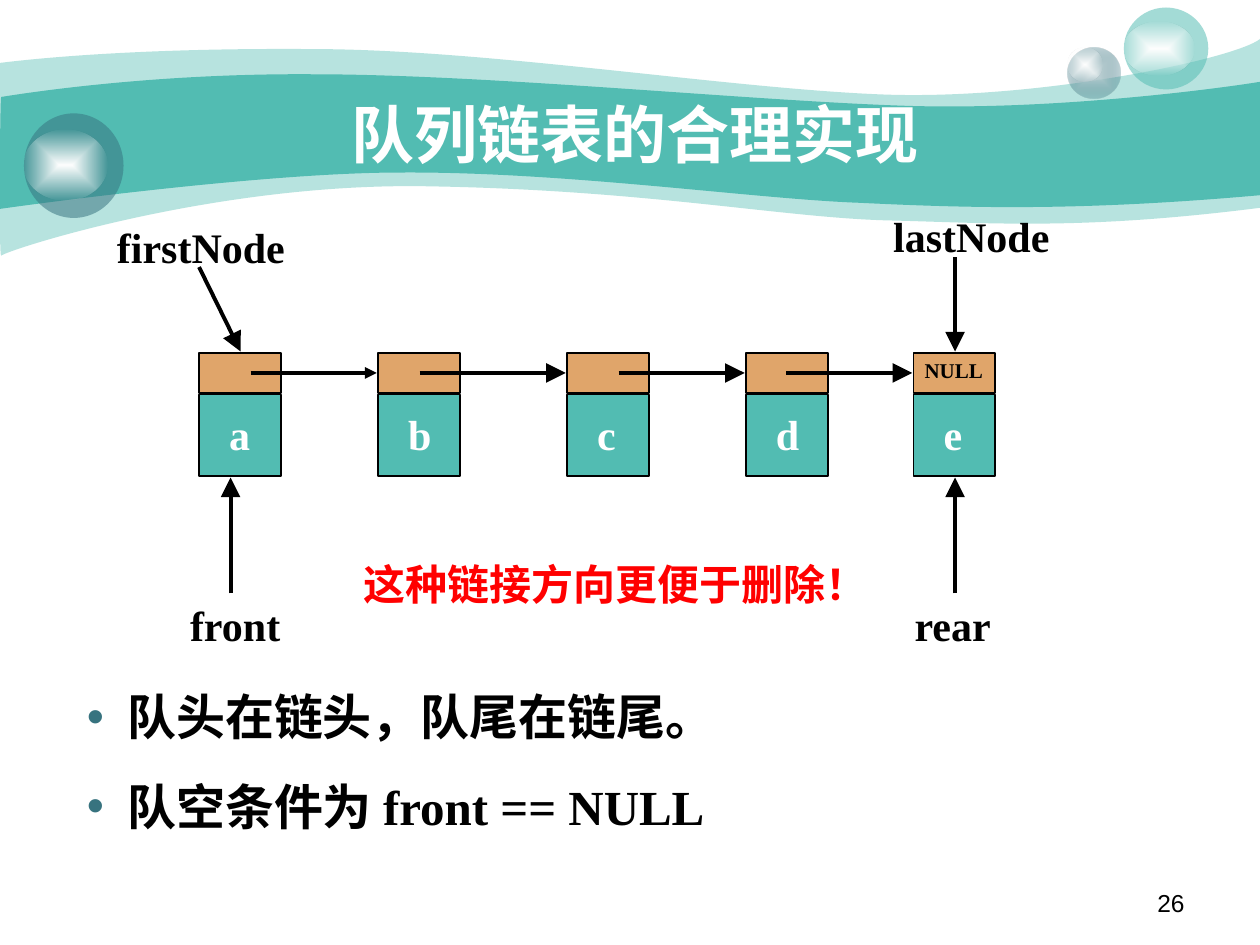
from dataclasses import dataclass

from lxml import etree
from pptx import Presentation
from pptx.dml.color import RGBColor
from pptx.enum.shapes import MSO_CONNECTOR, MSO_SHAPE
from pptx.enum.text import MSO_ANCHOR, MSO_AUTO_SIZE, PP_ALIGN
from pptx.oxml import parse_xml
from pptx.oxml.ns import qn
from pptx.util import Inches, Pt

LINE = MSO_CONNECTOR.STRAIGHT
RECT, OVAL = MSO_SHAPE.RECTANGLE, MSO_SHAPE.OVAL
LEFT, CENTER, RIGHT = PP_ALIGN.LEFT, PP_ALIGN.CENTER, PP_ALIGN.RIGHT
MIDDLE = MSO_ANCHOR.MIDDLE
NO_FIT = MSO_AUTO_SIZE.NONE
DRAW = "http://schemas.openxmlformats.org/drawingml/2006/main"


@dataclass
class Theme:
    teal: str = "52BCB2"
    deep: str = "37737F"
    pale: str = "CCDBDE"
    sand: str = "E0A56A"
    white: str = "FFFFFF"
    black: str = "000000"
    red: str = "FF0000"
    serif: str = "Times New Roman"
    sans: str = "Arial"
    title: int = 36
    body: int = 28
    label: int = 24
    page: int = 14
    small: int = 12


def rgb(color):
    return RGBColor.from_string(color)


def bend(lines):
    """Turn each three straight steps of a path into one Bezier curve."""
    for i in range(0, len(lines), 3):
        arc = etree.Element(qn("a:cubicBezTo"))
        lines[i].addprevious(arc)
        for line in lines[i:i + 3]:
            arc.append(line[0])
            line.getparent().remove(line)


class Deck:
    """Holds the theme and the current slide."""

    def __init__(self, slide, theme):
        self.slide, self.theme = slide, theme
        self.shapes = slide.shapes

    def place(self, shape, box):
        shape.left, shape.top, shape.width, shape.height = map(Inches, box)

    def paint(self, shape, color, alpha=100):
        shape.shadow.inherit = False
        shape.line.fill.background()
        shape.fill.solid()
        shape.fill.fore_color.rgb = rgb(color)
        if alpha < 100:
            tone = shape.element.spPr.find(".//" + qn("a:srgbClr"))
            etree.SubElement(tone, qn("a:alpha"), val=str(alpha * 1000))

    def font(self, para, size, color, bold=True, name=None):
        for run in para.runs:
            run.font.size, run.font.bold = Pt(size), bold
            run.font.name = name or self.theme.serif
            run.font.color.rgb = rgb(color)

    def wave(self, top, low, alpha=100):
        """A band between two curves, each a start and its Bezier points."""
        first, *rest = [(Inches(x), Inches(y)) for x, y in top + low]
        pen = self.shapes.build_freeform(*first)
        pen.add_line_segments(rest, close=True)
        shape = pen.convert_to_shape()
        lines = shape.element.findall(".//" + qn("a:lnTo"))
        side = len(top) - 1  # the straight step down the right edge
        bend(lines[:side])
        bend(lines[side + 1:len(rest)])
        self.paint(shape, self.theme.teal, alpha)

    def disc(self, box, color, alpha):
        disc = self.shapes.add_shape(OVAL, *map(Inches, box))
        self.paint(disc, color, alpha)
        return disc

    def glow(self, box, inner, outer, alpha):
        """A disc that fades from its centre to a see-through edge."""
        disc = self.disc(box, inner, 100)
        fade = parse_xml(
            f'<a:gradFill xmlns:a="{DRAW}" rotWithShape="1"><a:gsLst>'
            f'<a:gs pos="0"><a:srgbClr val="{inner}"/></a:gs>'
            f'<a:gs pos="100000"><a:srgbClr val="{outer}">'
            f'<a:alpha val="{alpha * 1000}"/></a:srgbClr></a:gs></a:gsLst>'
            '<a:path path="rect"><a:fillToRect l="50000" t="50000" '
            'r="50000" b="50000"/></a:path></a:gradFill>')
        props = disc.element.spPr
        props.replace(props.find(qn("a:solidFill")), fade)

    def title(self, text, box):
        shape = self.shapes.title
        self.shapes.element.append(shape.element)  # in front of the waves
        self.place(shape, box)
        frame = shape.text_frame
        frame.text = text
        frame.auto_size, frame.vertical_anchor = NO_FIT, MIDDLE
        frame.paragraphs[0].alignment = CENTER
        self.font(frame.paragraphs[0], self.theme.title, self.theme.white)

    def body(self, items, box):
        shape = self.slide.placeholders[1]
        self.shapes.element.append(shape.element)
        self.place(shape, box)
        frame = shape.text_frame
        frame.text = "\n".join(items)
        frame.auto_size = NO_FIT
        for i, para in enumerate(frame.paragraphs):
            props = para._p.get_or_add_pPr()
            props.set("marL", str(Inches(0.32)))
            props.set("indent", str(-Inches(0.32)))
            tint = etree.SubElement(props, qn("a:buClr"))
            etree.SubElement(tint, qn("a:srgbClr"), val=self.theme.deep)
            etree.SubElement(props, qn("a:buFont"), typeface=self.theme.sans)
            etree.SubElement(props, qn("a:buChar"), char="•")
            para.space_before = Pt(17.5 if i else 0)
            self.font(para, self.theme.body, self.theme.black)

    def label(self, text, box, color=None, align=LEFT, size=None, wrap=True,
              **style):
        frame = self.shapes.add_textbox(*map(Inches, box)).text_frame
        frame.word_wrap = wrap
        frame.text = text
        frame.paragraphs[0].alignment = align
        self.font(frame.paragraphs[0], size or self.theme.label,
                  color or self.theme.black, **style)

    def cell(self, box, fill):
        cell = self.shapes.add_shape(RECT, *map(Inches, box))
        self.paint(cell, fill)
        cell.line.color.rgb, cell.line.width = rgb(self.theme.black), Pt(1)

    def node(self, x, text):
        self.cell((x, 3.13, 0.65, 0.65), self.theme.teal)
        self.cell((x, 2.8, 0.65, 0.32), self.theme.sand)
        self.label(text, (x + 0.14, 3.19, 0.37, 0.5), self.theme.white,
                   wrap=False)

    def arrow(self, x1, y1, x2, y2, head="lg"):
        line = self.shapes.add_connector(LINE, *map(Inches, (x1, y1, x2, y2)))
        line.line.color.rgb, line.line.width = rgb(self.theme.black), Pt(2.25)
        etree.SubElement(line.line._get_or_add_ln(), qn("a:tailEnd"),
                         type="triangle", w=head, len=head)
        etree.SubElement(line.element.spPr, qn("a:effectLst"))


def main():
    theme = Theme()
    show = Presentation()
    show.slide_width, show.slide_height = Inches(10), Inches(7.5)
    deck = Deck(show.slides.add_slide(show.slide_layouts[1]), theme)

    deck.wave([(0, 0.5), (0.24, 0.47), (1.07, 0.38), (2.47, 0.39),
               (3.86, 0.39), (5.75, 0.7), (6.99, 0.75),
               (8.22, 0.8), (9.8, 0.47), (10, 0.31)],
              [(10, 1.65), (8.58, 1.83), (7.87, 1.77), (7.05, 1.75),
               (6.22, 1.73), (5.15, 1.51), (3.43, 1.48),
               (1.72, 1.44), (0.04, 1.99), (0.01, 2.03),
               (-0.01, 2.08), (0, 0.75), (0, 0.5)], 41)
    deck.wave([(0.01, 0.77), (0.02, 0.77), (1.1, 0.58), (2.48, 0.59),
               (3.86, 0.59), (5.95, 0.8), (7.18, 0.84),
               (8.41, 0.88), (9.76, 0.69), (10, 0.65)],
              [(10, 1.55), (8.53, 1.68), (7.65, 1.65), (6.82, 1.61),
               (5.99, 1.58), (4.47, 1.36), (3.17, 1.37),
               (2.03, 1.37), (-0.02, 1.66), (-0.01, 1.66),
               (0, 1.66), (0, 0.77), (0.01, 0.77)])
    deck.glow((8.47, 0.38, 0.42, 0.4), theme.pale, theme.deep, 31)
    deck.glow((8.47, 0.38, 0.28, 0.27), theme.white, theme.white, 0)
    deck.disc((8.92, 0.06, 0.67, 0.65), theme.teal, 53)
    deck.glow((8.92, 0.17, 0.56, 0.43), theme.white, theme.white, 0)
    deck.disc((0.19, 0.9, 0.79, 0.83), theme.deep, 53)
    deck.glow((0.19, 1.03, 0.66, 0.56), theme.white, theme.white, 0)

    deck.label("26", (7.17, 7, 2.33, 0.35), align=RIGHT, size=theme.page,
               bold=False, name=theme.sans)
    deck.title("队列链表的合理实现", (1, 0.75, 8.08, 0.62))
    deck.body(["队头在链头，队尾在链尾。", "队空条件为 front == NULL"],
              (0.59, 5.4, 9.06, 1.28))

    spots = [1.58, 3, 4.5, 5.92, 7.25]
    for x, text in zip(spots, "abcde"):
        deck.node(x, text)
    for start, end in zip([1.99, 3.33, 4.91, 6.24], spots[1:]):
        deck.arrow(start, 2.96, end - 0.01, 2.96,
                   "med" if end == spots[1] else "lg")
    deck.label("NULL", (7.24, 2.79, 0.67, 0.3), size=theme.small)

    for text, x, y, width, line in [
            ("firstNode", 0.83, 1.71, 1.83, (1.58, 2.12, 1.91, 2.79)),
            ("lastNode", 6.99, 1.62, 1.83, (7.58, 2.04, 7.58, 2.79)),
            ("front", 1.41, 4.71, 1.08, (1.83, 4.71, 1.83, 3.79)),
            ("rear", 7.16, 4.71, 1.08, (7.58, 4.71, 7.58, 3.79))]:
        deck.label(text, (x, y, width, 0.5))
        deck.arrow(*line)
    deck.label("这种链接方向更便于删除！", (2.72, 4.38, 4.33, 0.5),
               theme.red, CENTER)
    show.save("out.pptx")


if __name__ == "__main__":
    main()
